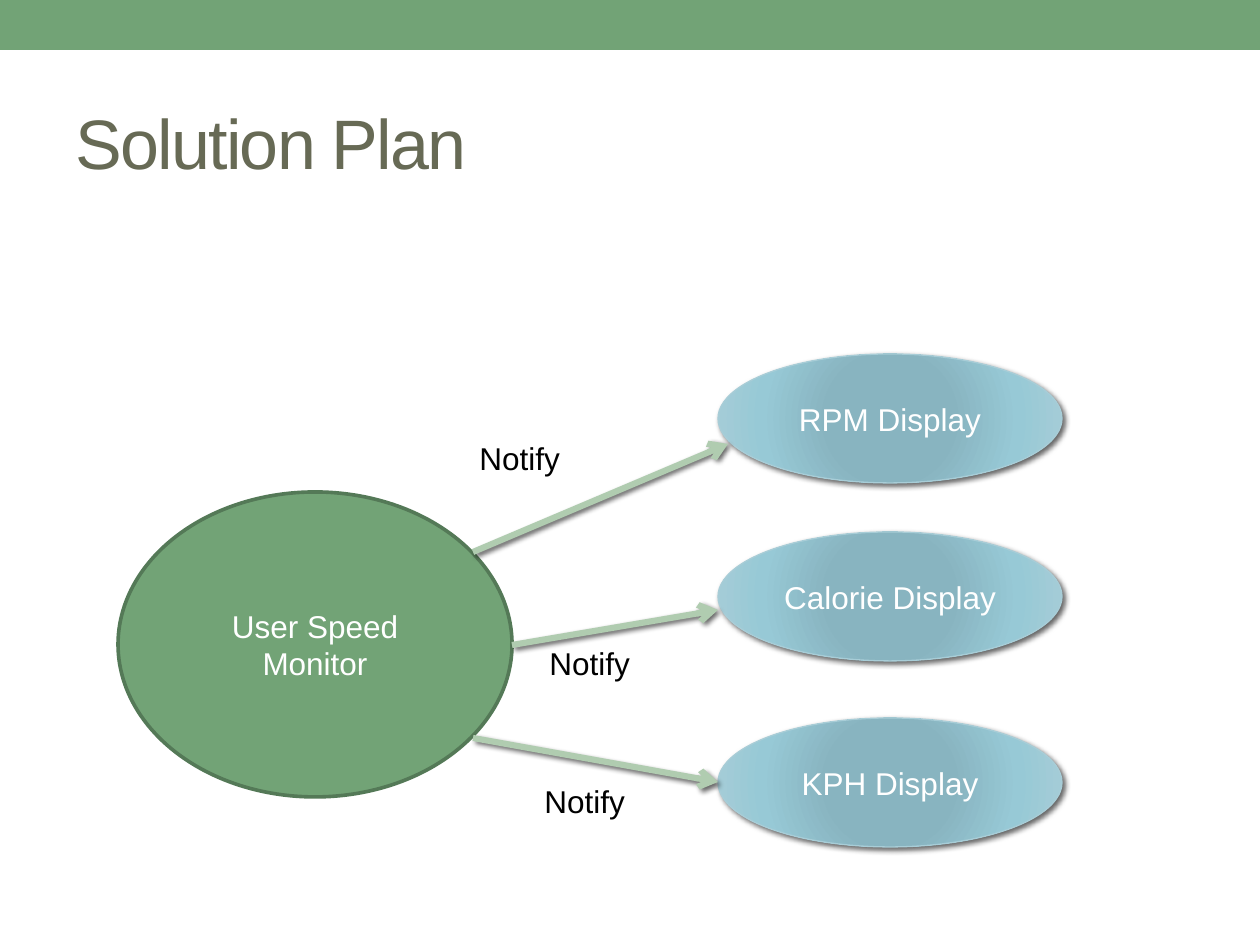
from lxml import etree
from pptx import Presentation
from pptx.dml.color import RGBColor
from pptx.enum.shapes import MSO_CONNECTOR, MSO_SHAPE
from pptx.enum.text import MSO_ANCHOR, MSO_AUTO_SIZE, PP_ALIGN
from pptx.oxml import parse_xml
from pptx.oxml.ns import nsdecls, qn
from pptx.util import Emu, Pt

EMU_PER_PX = 914400 / 126
FONT = "Arial"
COLORS = {
    "green": "72A376",
    "green_edge": "547957",
    "title": "676A55",
    "white": "FFFFFF",
    "black": "000000",
    "display_edge": "A8CDD7",
    "arrow": "B0CCB0",
}
DISPLAY_STOPS = [(0, "86B5C2"), (34, "88B4C0"), (70, "97C9D6"), (100, "A8CDD7")]

DISPLAY_LEFT, DISPLAY_WIDTH, DISPLAY_HEIGHT = 718, 344, 129
# display name, top, arrow start, arrow end, left and top of its label
NOTIFICATIONS = [
    ("RPM Display", 354, (473, 552), (728, 444), (467, 433)),
    ("Calorie Display", 532, (512, 645), (718, 610), (537, 638)),
    ("KPH Display", 718, (473, 738), (718, 782), (532, 776)),
]


def px(*lengths):
    return [Emu(round(length * EMU_PER_PX)) for length in lengths]


def rgb(name):
    return RGBColor.from_string(COLORS[name])


def set_line(line, color, width):
    line.color.rgb = rgb(color)
    line.width = Pt(width)


def add_run(frame, text, color, size=18):
    run = frame.paragraphs[0].add_run()
    run.text = text
    run.font.name = FONT
    run.font.size = Pt(size)
    run.font.color.rgb = rgb(color)
    return run


def add_shadow(element):
    """Append a soft lower-right shadow; call after fill and line are set."""
    element.spPr.append(parse_xml(
        f'<a:effectLst {nsdecls("a")}>'
        '<a:outerShdw blurRad="38100" dist="25400" dir="2700000" rotWithShape="0">'
        '<a:srgbClr val="000000"><a:alpha val="60000"/></a:srgbClr>'
        '</a:outerShdw></a:effectLst>'))


def add_radial_fill(shape):
    stops = "".join(
        f'<a:gs pos="{percent * 1000}"><a:srgbClr val="{color}"/></a:gs>'
        for percent, color in DISPLAY_STOPS)
    gradient = parse_xml(
        f'<a:gradFill {nsdecls("a")} rotWithShape="1"><a:gsLst>{stops}</a:gsLst>'
        '<a:path path="circle">'
        '<a:fillToRect l="100000" t="100000" r="100000" b="100000"/>'
        '</a:path></a:gradFill>')
    shape._element.spPr.find(qn("a:prstGeom")).addnext(gradient)


def add_header_bar(slide):
    bar = slide.shapes.add_shape(MSO_SHAPE.RECTANGLE, *px(0, 0, 1260, 50))
    bar.shadow.inherit = False
    bar.fill.solid()
    bar.fill.fore_color.rgb = rgb("green")
    bar.line.fill.background()


def add_title(slide, text):
    frame = slide.shapes.add_textbox(*px(63, 73, 1134, 136)).text_frame
    frame.word_wrap = True
    frame.vertical_anchor = MSO_ANCHOR.MIDDLE
    run = add_run(frame, text, "title", 40)
    run.font._element.set("spc", "-100")


def add_ellipse(slide, box, text):
    ellipse = slide.shapes.add_shape(MSO_SHAPE.OVAL, *px(*box))
    frame = ellipse.text_frame
    frame.word_wrap = True
    frame.vertical_anchor = MSO_ANCHOR.MIDDLE
    frame.paragraphs[0].alignment = PP_ALIGN.CENTER
    add_run(frame, text, "white")
    return ellipse


def add_monitor(slide, text):
    monitor = add_ellipse(slide, (118, 492, 394, 305), text)
    monitor.shadow.inherit = False
    monitor.fill.solid()
    monitor.fill.fore_color.rgb = rgb("green")
    set_line(monitor.line, "green_edge", 2.08)


def add_display(slide, text, top):
    box = (DISPLAY_LEFT, top, DISPLAY_WIDTH, DISPLAY_HEIGHT)
    display = add_ellipse(slide, box, text)
    set_line(display.line, "display_edge", 0.75)
    add_radial_fill(display)
    add_shadow(display._element)


def add_arrow(slide, start, end):
    arrow = slide.shapes.add_connector(MSO_CONNECTOR.STRAIGHT, *px(*start, *end))
    set_line(arrow.line, "arrow", 3.5)
    line = arrow._element.spPr.find(qn("a:ln"))
    etree.SubElement(line, qn("a:tailEnd"), type="arrow")
    add_shadow(arrow._element)


def add_label(slide, text, position):
    frame = slide.shapes.add_textbox(*px(*position, 113, 50)).text_frame
    frame.word_wrap = False
    frame.auto_size = MSO_AUTO_SIZE.SHAPE_TO_FIT_TEXT
    add_run(frame, text, "black")


def main():
    deck = Presentation()
    deck.slide_width, deck.slide_height = px(1260, 945)
    slide = deck.slides.add_slide(deck.slide_layouts[6])

    add_header_bar(slide)
    add_title(slide, "Solution Plan")
    add_monitor(slide, "User Speed Monitor")
    for name, top, *_ in NOTIFICATIONS:
        add_display(slide, name, top)
    for _, _, start, end, _ in NOTIFICATIONS:
        add_arrow(slide, start, end)
    for *_, label_position in NOTIFICATIONS:
        add_label(slide, "Notify", label_position)

    deck.save("out.pptx")


if __name__ == "__main__":
    main()
